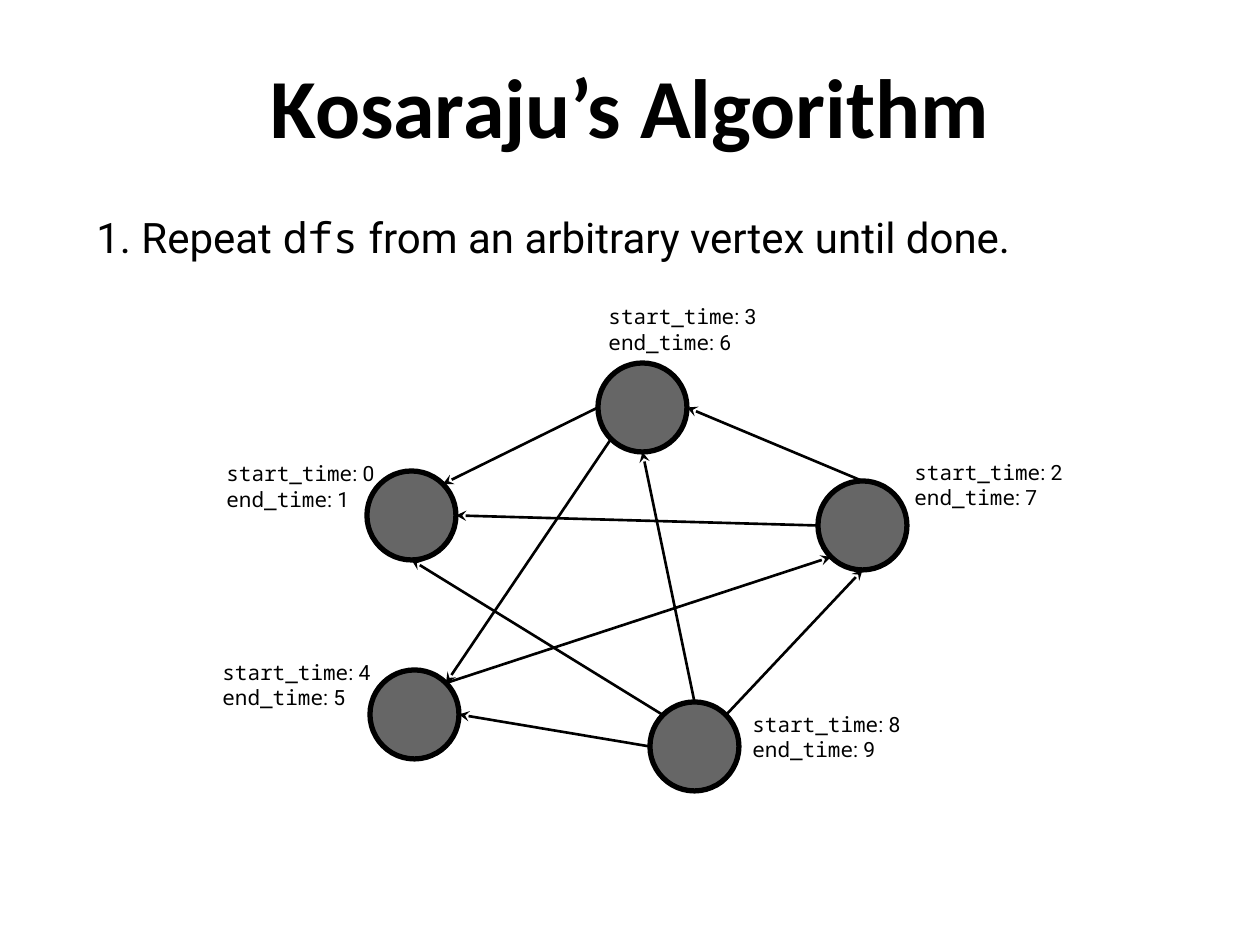
import math
from dataclasses import dataclass

from lxml import etree
from pptx import Presentation
from pptx import util as u
from pptx.dml.color import RGBColor
from pptx.enum import shapes, text
from pptx.oxml import ns

PX = u.Inches(1) / 126


@dataclass(frozen=True)
class Theme:
    ink: RGBColor = RGBColor(0, 0, 0)
    visited: RGBColor = RGBColor(0x66, 0x66, 0x66)
    heading: str = "Calibri"
    body: str = "Roboto"
    code: str = "Noto Sans Mono"
    title_size: int = 48
    step_size: int = 24
    label_size: int = 12
    edge_width: float = 1.5
    outline_width: int = 3


@dataclass(frozen=True)
class Vertex:
    x: int
    y: int
    label_x: int
    label_y: int
    start: int
    end: int


@dataclass(frozen=True)
class Edge:
    source: str
    leave: int  # degrees, clockwise from the right
    target: str
    enter: int


THEME = Theme()
DIAMETER = 89
LABEL_WIDTH, LABEL_HEIGHT = 210, 70
RIGHT, BOTTOM_LEFT, BOTTOM, LEFT = 0, 135, 90, 180
TOP_LEFT, TOP, TOP_RIGHT = 225, 270, 315

VERTICES = {
    "west": Vertex(367, 471, 214, 451, 0, 1),
    "east": Vertex(818, 481, 902, 450, 2, 7),
    "north": Vertex(598, 363, 596, 294, 3, 6),
    "southwest": Vertex(370, 670, 210, 650, 4, 5),
    "south": Vertex(650, 702, 740, 702, 8, 9),
}
EDGES = [
    Edge("east", LEFT, "west", RIGHT),
    Edge("south", TOP_LEFT, "west", BOTTOM),
    Edge("south", TOP_RIGHT, "east", BOTTOM),
    Edge("south", TOP, "north", BOTTOM),
    Edge("south", LEFT, "southwest", RIGHT),
    Edge("north", LEFT, "west", TOP_RIGHT),
    Edge("southwest", TOP_RIGHT, "east", BOTTOM_LEFT),
    Edge("east", TOP, "north", RIGHT),
    Edge("north", BOTTOM_LEFT, "southwest", TOP_RIGHT),
]


def px(length: float) -> u.Emu:
    return u.Emu(round(length * PX))


def add_run(paragraph, words: str, font: str, size: int, bold: bool = False) -> None:
    run = paragraph.add_run()
    run.text = words
    run.font.name = font
    run.font.size = u.Pt(size)
    run.font.bold = bold
    run.font.color.rgb = THEME.ink


def format_frame(frame, anchor) -> None:
    frame.word_wrap = True
    frame.auto_size = text.MSO_AUTO_SIZE.NONE
    frame.vertical_anchor = anchor
    frame.margin_left = frame.margin_right = u.Inches(0.1)
    frame.margin_top = frame.margin_bottom = u.Inches(0.1)


def add_text_frame(slide, x: int, y: int, width: int, height: int, anchor):
    frame = slide.shapes.add_textbox(px(x), px(y), px(width), px(height)).text_frame
    format_frame(frame, anchor)
    return frame


def rim_point(vertex: Vertex, angle: int) -> tuple[u.Emu, u.Emu]:
    radius, turn = DIAMETER / 2, math.radians(angle)
    return (px(vertex.x + radius + radius * math.cos(turn)),
            px(vertex.y + radius + radius * math.sin(turn)))


def add_edge(slide, edge: Edge) -> None:
    # The line begins at the target, where its arrowhead sits
    tip = rim_point(VERTICES[edge.target], edge.enter)
    origin = rim_point(VERTICES[edge.source], edge.leave)
    line = slide.shapes.add_connector(shapes.MSO_CONNECTOR.STRAIGHT, *tip, *origin)
    line.line.color.rgb = THEME.ink
    line.line.width = u.Pt(THEME.edge_width)
    properties = line.line._get_or_add_ln()
    etree.SubElement(properties, ns.qn("a:headEnd"), type="stealth", w="med", len="med")
    etree.SubElement(properties.getparent(), ns.qn("a:effectLst"))


def add_vertex(slide, vertex: Vertex) -> None:
    circle = slide.shapes.add_shape(shapes.MSO_SHAPE.OVAL, px(vertex.x), px(vertex.y),
                                    px(DIAMETER), px(DIAMETER))
    circle.shadow.inherit = False
    circle.fill.solid()
    circle.fill.fore_color.rgb = THEME.visited
    circle.line.color.rgb = THEME.ink
    circle.line.width = u.Pt(THEME.outline_width)


def add_times(slide, vertex: Vertex) -> None:
    frame = add_text_frame(slide, vertex.label_x, vertex.label_y,
                           LABEL_WIDTH, LABEL_HEIGHT, text.MSO_ANCHOR.MIDDLE)
    times = [(frame.paragraphs[0], "start_time", vertex.start),
             (frame.add_paragraph(), "end_time", vertex.end)]
    for paragraph, name, time in times:
        add_run(paragraph, name, THEME.code, THEME.label_size)
        add_run(paragraph, f": {time}", THEME.body, THEME.label_size)


def main() -> None:
    deck = Presentation()
    deck.slide_width, deck.slide_height = px(1260), px(945)
    slide = deck.slides.add_slide(deck.slide_layouts[5])

    # Title
    title = slide.shapes.title
    title.left, title.top, title.width, title.height = px(0), px(42), px(1260), px(157)
    format_frame(title.text_frame, text.MSO_ANCHOR.TOP)
    heading = title.text_frame.paragraphs[0]
    heading.alignment = text.PP_ALIGN.CENTER
    add_run(heading, "Kosaraju’s Algorithm", THEME.heading, THEME.title_size, bold=True)

    # Step
    step = add_text_frame(slide, 84, 199, 1092, 746, text.MSO_ANCHOR.TOP).paragraphs[0]
    for words, font in [("1. Repeat ", THEME.body), ("dfs", THEME.code),
                        (" from an arbitrary vertex until done.", THEME.body)]:
        add_run(step, words, font, THEME.step_size)

    # Graph: edges lie under the vertices
    for edge in EDGES:
        add_edge(slide, edge)
    for vertex in VERTICES.values():
        add_vertex(slide, vertex)
    for vertex in VERTICES.values():
        add_times(slide, vertex)

    deck.save("out.pptx")


if __name__ == "__main__":
    main()
